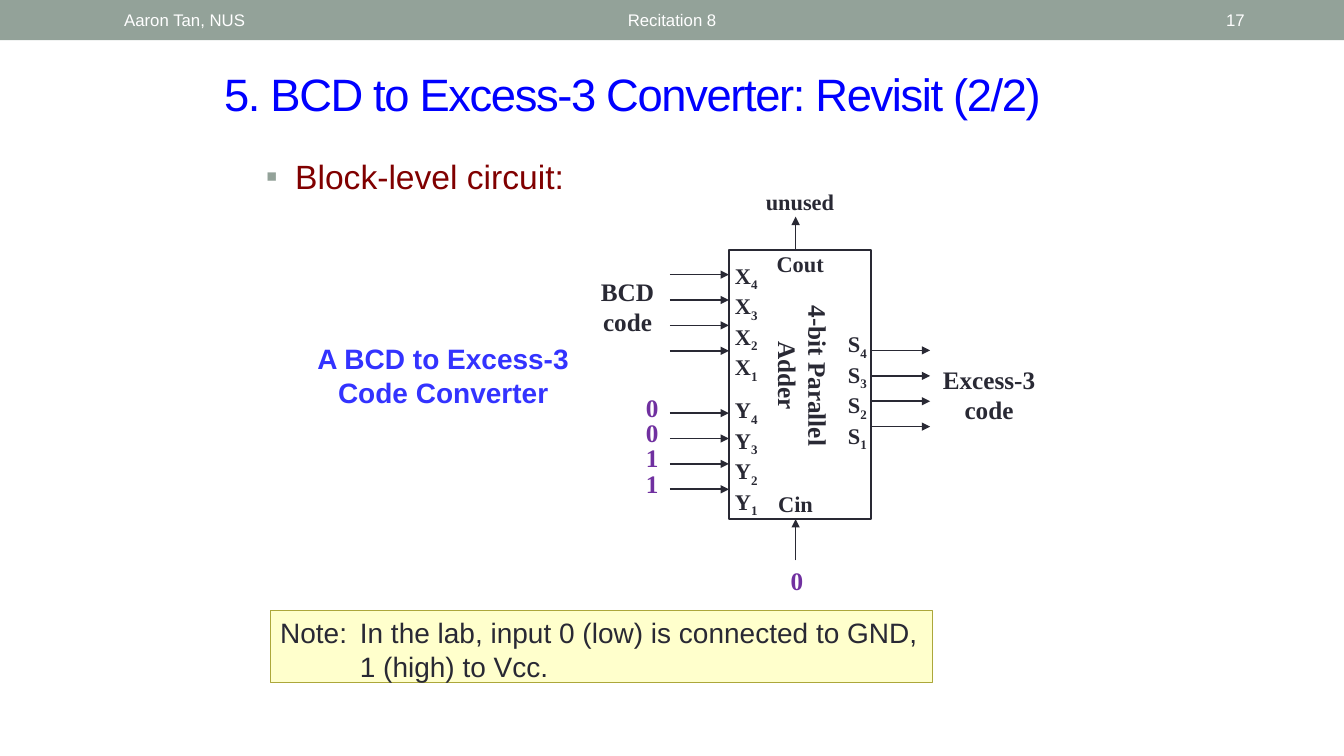
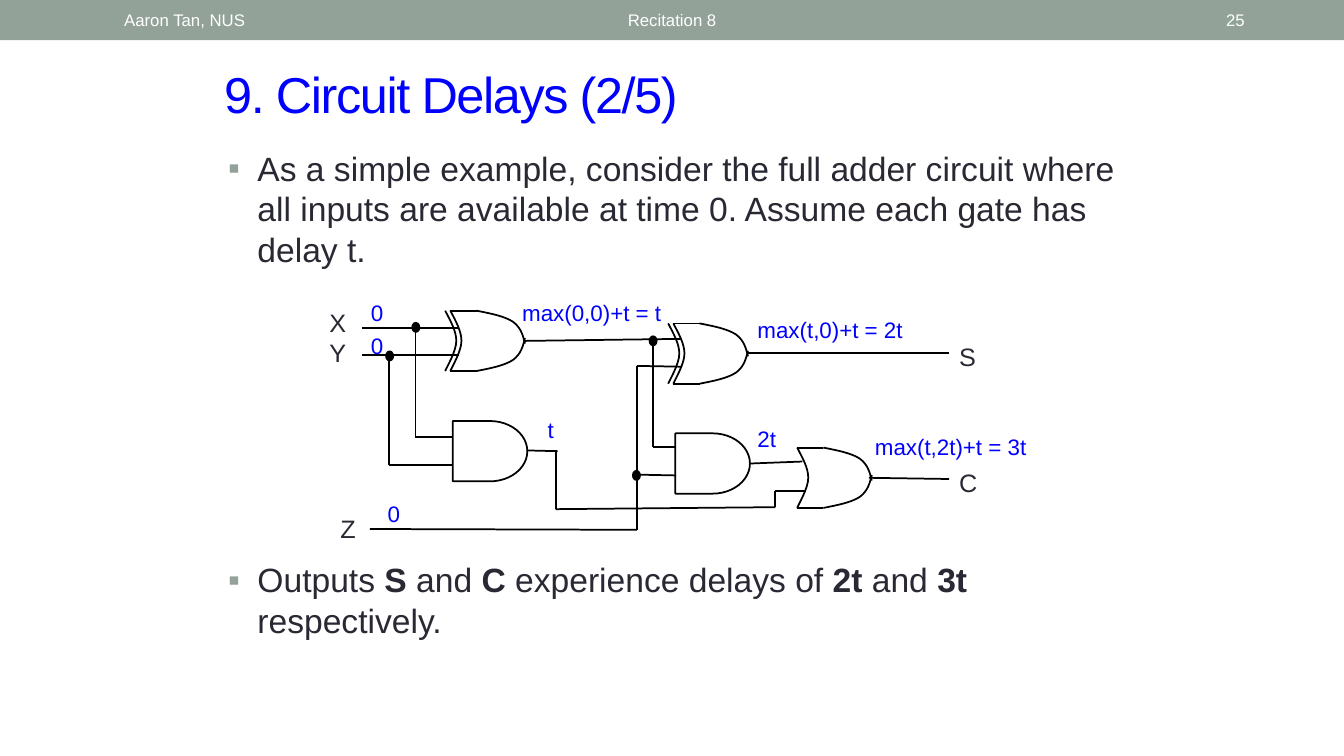
from lxml import etree
from pptx import Presentation
from pptx.dml.color import RGBColor
from pptx.enum.shapes import MSO_CONNECTOR, MSO_SHAPE
from pptx.enum.text import MSO_ANCHOR, PP_ALIGN
from pptx.oxml.ns import qn
from pptx.util import Cm, Pt

LEFT, CENTER, RIGHT = PP_ALIGN.LEFT, PP_ALIGN.CENTER, PP_ALIGN.RIGHT
TOP, MIDDLE = MSO_ANCHOR.TOP, MSO_ANCHOR.MIDDLE
RECT, OVAL, AND_GATE = MSO_SHAPE.RECTANGLE, MSO_SHAPE.OVAL, MSO_SHAPE.FLOWCHART_DELAY
STRAIGHT = MSO_CONNECTOR.STRAIGHT
SANS, SERIF = "Arial", "Times New Roman"
COLORS = {
    "band": "93A299", "white": "FFFFFF", "blue": "0000FF", "caption": "3333FF",
    "maroon": "800000", "ink": "292934", "purple": "7030A0", "black": "000000",
    "note": "FFFFCC", "note_line": "ACA73B",
}
RGB = {name: RGBColor.from_string(value) for name, value in COLORS.items()}


def add_text(s, text, x, y, w, h, size=18, color="ink", font=SANS, bold=False,
             align=LEFT, anchor=TOP, hanging=0, bullet=False, line_pt=None,
             spacing=None, rotation=0):
    """Add a text box; text is a string, or a list of paragraphs.

    A paragraph is a string or a list of (text, style) runs, where style is
    "", "bold" or "sub". Places and sizes are in centimetres.
    """
    sp = s.shapes.add_textbox(Cm(x), Cm(y), Cm(w), Cm(h))
    sp.rotation = rotation
    tf = sp.text_frame
    tf.word_wrap = True
    tf.vertical_anchor = anchor
    paragraphs = [text] if isinstance(text, str) else text
    for i, runs in enumerate(paragraphs):
        p = tf.add_paragraph() if i else tf.paragraphs[0]
        p.alignment = align
        if line_pt:
            p.line_spacing = Pt(line_pt)
        pPr = p._p.get_or_add_pPr()
        if hanging:
            pPr.set("marL", str(Cm(hanging)))
            pPr.set("indent", str(-Cm(hanging)))
        if bullet:
            clr = etree.SubElement(pPr, qn("a:buClr"))
            etree.SubElement(clr, qn("a:srgbClr")).set("val", COLORS["band"])
            etree.SubElement(pPr, qn("a:buFont")).set("typeface", SANS)
            etree.SubElement(pPr, qn("a:buChar")).set("char", "▪")
        for content, style in [(runs, "")] if isinstance(runs, str) else runs:
            r = p.add_run()
            r.text = content
            r.font.name = font
            r.font.size = Pt(size)
            r.font.bold = bold or style == "bold"
            r.font.color.rgb = RGB[color]
            if style == "sub":
                r._r.get_or_add_rPr().set("baseline", "-25000")
            if spacing:
                r._r.get_or_add_rPr().set("spc", str(spacing * 100))
    return sp


def add_line(s, start, end, color="black", arrow=False):
    line = s.shapes.add_connector(STRAIGHT, *(Cm(v) for v in (*start, *end)))
    line.line.width = Pt(1.25)
    line.line.color.rgb = RGB[color]
    if arrow:
        ln = line.line._get_or_add_ln()
        etree.SubElement(ln, qn("a:tailEnd")).set("type", "triangle")
    etree.SubElement(line._element.spPr, qn("a:effectLst"))


prs = Presentation()
prs.slide_width, prs.slide_height = Cm(33.87), Cm(19.05)

# Shared header and title
slides = []
for title, size, number in [
    ("5. BCD to Excess-3 Converter: Revisit (2/2)", 32.4, "17"),
    ("9. Circuit Delays (2/5)", 36, "25"),
]:
    s = prs.slides.add_slide(prs.slide_layouts[6])
    band = s.shapes.add_shape(RECT, 0, 0, prs.slide_width, Cm(1.01))
    band.shadow.inherit = False
    band.fill.solid()
    band.fill.fore_color.rgb = RGB["band"]
    band.line.fill.background()
    add_text(s, title, 5.4, 1.47, 23.39, 1.78, size=size, color="blue",
             anchor=MIDDLE, spacing=-1)
    for text, x, w, align in [
        ("Recitation 8", 7.68, 18.52, CENTER),
        ("Aaron Tan, NUS", 2.88, 8.05, LEFT),
        (number, 29.21, 2.41, RIGHT),
    ]:
        add_text(s, text, x, 0.05, w, 0.91, size=12, color="white",
                 align=align, anchor=MIDDLE)
    slides.append(s)
converter, delays = slides

# Block-level circuit of the converter
s = converter
add_text(s, "Block-level circuit:", 6.45, 3.81, 10.29, 1.7, size=24,
         color="maroon", hanging=0.74, bullet=True)
adder = s.shapes.add_shape(RECT, Cm(18.37), Cm(6.3), Cm(3.59), Cm(6.78))
adder.shadow.inherit = False
adder.fill.background()
adder.line.color.rgb = RGB["ink"]
adder.line.width = Pt(1.5)
add_text(s, "4-bit Parallel Adder", 17.98, 8.44, 4.24, 2.06, font=SERIF,
         bold=True, align=CENTER, rotation=90)

PIN_GAP, ARROW = 0.64, 1.49
for pin, label_x, label_y, arrow_x, arrow_y in [
    ("X", 18.27, 6.47, 16.88, 6.92),
    ("Y", 18.27, 9.86, 16.88, 10.41),
    ("S", 21.12, 8.2, 21.95, 8.83),
]:
    add_text(s, [[(pin, ""), (digit, "sub")] for digit in "4321"],
             label_x, label_y, 1.27, 2.97, size=16, font=SERIF, bold=True)
    for i in range(4):
        y = arrow_y + i * PIN_GAP
        add_line(s, (arrow_x, y), (arrow_x + ARROW, y), "ink", arrow=True)
for start, end in [(14.12, 13.08), (6.3, 5.46)]:
    add_line(s, (20.05, start), (20.05, end), "ink", arrow=True)

add_text(s, list("0011"), 16.03, 9.89, 0.84, 2.82, color="purple", font=SERIF,
         bold=True, line_pt=18)
for text, x, y, w, h, size, color in [
    (["BCD", "code"], 14.76, 6.83, 2.11, 1.78, 18, "ink"),
    (["Excess-3", "code"], 23.44, 9.05, 2.97, 1.78, 18, "ink"),
    ("unused", 18.99, 4.61, 2.34, 0.94, 16, "ink"),
    ("0", 19.54, 14.12, 1.09, 1.12, 18, "purple"),
    ("Cin", 19.2, 12.22, 1.7, 0.94, 16, "ink"),
    ("Cout", 19.21, 6.17, 1.91, 0.94, 16, "ink"),
]:
    add_text(s, text, x, y, w, h, size=size, color=color, font=SERIF,
             bold=True, align=CENTER)
add_text(s, "A BCD to Excess-3 Code Converter", 7.46, 8.48, 7.42, 1.96, size=20,
         color="caption", bold=True, align=CENTER)
note = add_text(
    s, "Note:\tIn the lab, input 0 (low) is connected to GND, 1 (high) to Vcc.",
    6.81, 15.39, 16.69, 1.8, size=20, hanging=2.01)
note.fill.solid()
note.fill.fore_color.rgb = RGB["note"]
note.line.color.rgb = RGB["note_line"]
note.line.width = Pt(0.75)

# Full adder with delays
s = delays
for text, y, h in [
    ("As a simple example, consider the full adder circuit where all inputs are "
     "available at time 0. Assume each gate has delay t.", 3.6, 4.65),
    ([[("Outputs ", ""), ("S", "bold"), (" and ", ""), ("C", "bold"),
       (" experience delays of ", ""), ("2t ", "bold"), ("and ", ""),
       ("3t", "bold"), (" respectively.", "")]], 13.97, 2.34),
]:
    add_text(s, text, 5.5, y, 22.86, h, size=24, hanging=0.74, bullet=True)

# Gate curves: chains of Bezier points, relative to the top left corner
GATE_W, GATE_H, EDGE, BACK_GAP = 1.88, 1.52, 0.66, 0.13
back = [(0, 0), (0.13, 0.25), (0.28, 0.51), (0.28, 0.76),
        (0.28, 1.02), (0.05, 1.4), (0, GATE_H)]
nose_top = [(EDGE, 0), (1.02, 0.07), (1.37, 0.14), (1.58, 0.28),
            (1.78, 0.43), (1.83, 0.62), (GATE_W, 0.83)]
nose_bottom = [(x, GATE_H - y) for x, y in nose_top]

parts = []
for left, top, exclusive in [(11.35, 7.83, True), (16.97, 8.15, True),
                             (20.09, 11.28, False)]:
    curves = [(back, left), (nose_top, left), (nose_bottom, left)]
    if exclusive:
        curves.append((back, left - BACK_GAP))
    for curve, x0 in curves:
        points = [(Cm(x0 + x), Cm(top + y)) for x, y in curve]
        builder = s.shapes.build_freeform(*points[0])
        builder.add_line_segments(points[1:], close=False)
        sp = builder.convert_to_shape()
        segments = list(sp._element.iter(qn("a:lnTo")))
        outline = segments[0].getparent()
        for i in range(0, len(segments), 3):
            bezier = etree.SubElement(outline, qn("a:cubicBezTo"))
            for segment in segments[i:i + 3]:
                bezier.append(segment[0])
                outline.remove(segment)
        parts.append(sp)
    for y in (top, top + GATE_H):
        add_line(s, (left, y), (left + EDGE, y))
for x, y in [(11.41, 10.61), (17.02, 10.92)]:
    parts.append(s.shapes.add_shape(AND_GATE, Cm(x), Cm(y), Cm(GATE_W), Cm(GATE_H)))
for sp in parts:
    sp.shadow.inherit = False
    sp.fill.background()
    sp.line.color.rgb = RGB["black"]
    sp.line.width = Pt(1.25)

wires = [
    [(9.12, 8.26), (11.56, 8.26)],
    [(9.12, 8.95), (11.56, 8.95)],
    [(10.47, 8.26), (10.47, 11.02), (11.4, 11.02)],
    [(9.8, 8.95), (9.8, 11.71), (11.4, 11.71)],
    [(13.23, 8.59), (17.17, 8.54)],
    [(16.46, 8.54), (16.46, 11.27), (17, 11.27)],
    [(13.27, 11.35), (14.05, 11.37)],
    [(14.02, 11.34), (14.02, 12.83)],
    [(14, 12.83), (19.54, 12.78), (19.54, 12.37), (20.32, 12.37)],
    [(9.32, 13.33), (16.05, 13.35), (16.05, 9.22), (17.17, 9.24)],
    [(16.05, 11.96), (17.04, 11.98)],
    [(18.85, 8.89), (23.92, 8.89)],
    [(18.9, 11.68), (20.22, 11.63)],
    [(21.9, 12.04), (23.92, 12.07)],
]
for wire in wires:
    for start, end in zip(wire, wire[1:]):
        add_line(s, start, end)

DOT_W, DOT_H = 0.18, 0.23
for x, y in [(9.82, 8.97), (10.48, 8.25), (16.46, 8.59), (16.04, 11.98)]:
    dot = s.shapes.add_shape(OVAL, Cm(x - DOT_W / 2), Cm(y - DOT_H / 2),
                             Cm(DOT_W), Cm(DOT_H))
    dot.shadow.inherit = False
    dot.fill.solid()
    dot.fill.fore_color.rgb = RGB["black"]
    dot.line.color.rgb = RGB["black"]
    dot.line.width = Pt(1.25)

for text, x, y in [
    (["X", "Y"], 8.05, 7.62), ("Z", 8.33, 12.8),
    ("S", 23.92, 8.48), ("C", 23.92, 11.64),
]:
    add_text(s, text, x, y, 1.07, 0.97 if isinstance(text, str) else 1.52)
for text, x, y, w in [
    ("0", 9.1, 7.42, 0.84),
    ("0", 9.1, 8.24, 0.84),
    ("0", 9.52, 12.49, 0.84),
    ("t", 13.55, 10.36, 0.66),
    ("2t", 18.84, 10.59, 1.07),
    ("max(0,0)+t = t", 12.91, 7.42, 4.19),
    ("max(t,0)+t = 2t", 18.84, 7.84, 4.45),
    ("max(t,2t)+t = 3t", 21.8, 10.8, 4.45),
]:
    add_text(s, text, x, y, w, 0.97, size=16, color="blue")

prs.save("out.pptx")
